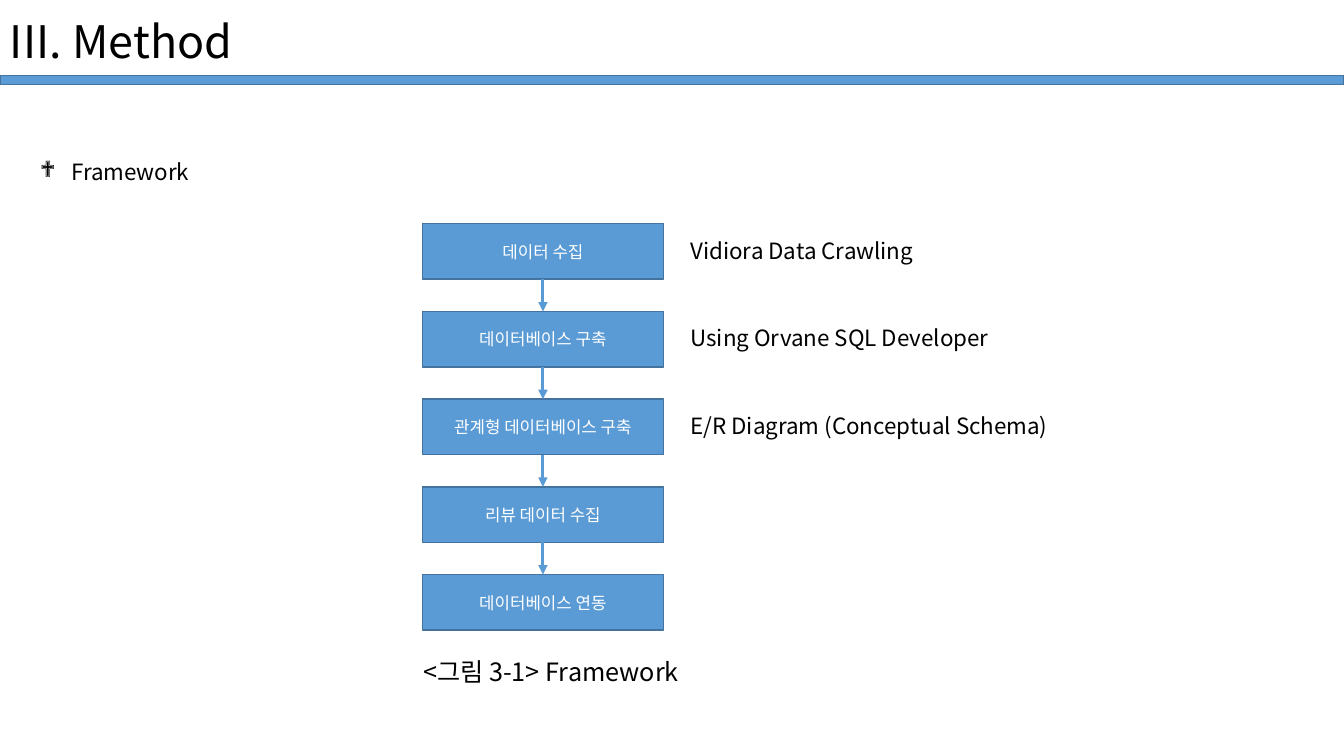
from pptx import Presentation
from pptx import util as u
from pptx.dml.color import RGBColor
from pptx.enum import shapes, text
from pptx.oxml.ns import qn
from lxml import etree

BLUE = RGBColor(0x5B, 0x9B, 0xD5)
DARK_BLUE = RGBColor(0x43, 0x73, 0x9E)
BLACK = RGBColor(0, 0, 0)
WHITE = RGBColor(255, 255, 255)
FONT = "Noto Sans CJK KR"

# Each step with the note to its right
STEPS = [
    ("데이터 수집", "Vidiora Data Crawling"),
    ("데이터베이스 구축", "Using Orvane SQL Developer"),
    ("관계형 데이터베이스 구축", "E/R Diagram (Conceptual Schema)"),
    ("리뷰 데이터 수집", None),
    ("데이터베이스 연동", None),
]


def style(paragraph, size, color):
    font = paragraph.font
    font.name = FONT
    font.size = u.Pt(size)
    font.color.rgb = color
    # Korean letters take the East Asian font
    defaults = paragraph._p.pPr.find(qn("a:defRPr"))
    etree.SubElement(defaults, qn("a:ea"), typeface=FONT)


def add_bullet(paragraph, indent, tag, **attributes):
    properties = paragraph._p.get_or_add_pPr()
    properties.set("marL", str(u.Inches(indent)))
    properties.set("indent", str(-u.Inches(indent)))
    etree.SubElement(properties, qn(tag), **attributes)


def add_text(slide, left, top, width, height, words, size):
    box = slide.shapes.add_textbox(
        u.Inches(left), u.Inches(top), u.Inches(width), u.Inches(height))
    box.text_frame.word_wrap = True
    paragraph = box.text_frame.paragraphs[0]
    paragraph.text = words
    return paragraph, size


def add_plain_text(slide, left, top, width, height, words, size):
    paragraph, size = add_text(slide, left, top, width, height, words, size)
    style(paragraph, size, BLACK)


def add_rectangle(slide, left, top, width, height):
    shape = slide.shapes.add_shape(
        shapes.MSO_SHAPE.RECTANGLE,
        u.Inches(left), u.Inches(top), u.Inches(width), u.Inches(height))
    shape.shadow.inherit = False
    shape.fill.solid()
    shape.fill.fore_color.rgb = BLUE
    shape.line.color.rgb = DARK_BLUE
    shape.line.width = u.Pt(1)
    return shape


def add_arrow(slide, x, top, bottom):
    arrow = slide.shapes.add_connector(
        shapes.MSO_CONNECTOR.STRAIGHT,
        u.Inches(x), u.Inches(top), u.Inches(x), u.Inches(bottom))
    arrow.line.color.rgb = BLUE
    arrow.line.width = u.Pt(2.25)
    etree.SubElement(arrow.line._get_or_add_ln(), qn("a:tailEnd"), type="triangle")
    etree.SubElement(arrow._element.spPr, qn("a:effectLst"))


def add_header(slide, left, top, width):
    # Numbered title above a full-width bar
    add_rectangle(slide, left, top + 0.75, width, 0.09)
    title, size = add_text(slide, left, top + 0.09, 10.73, 0.64, "Method", 32)
    add_bullet(title, 0.62, "a:buFont", typeface="+mj-lt")
    add_bullet(title, 0.62, "a:buAutoNum", type="romanUcPeriod", startAt="3")
    style(title, size, BLACK)


def add_topic(slide, left, top, width, height):
    topic, size = add_text(slide, left, top, width, height, "Framework", 16)
    topic.line_spacing = 1.5
    add_bullet(topic, 0.31, "a:buFont", typeface="Wingdings")
    add_bullet(topic, 0.31, "a:buChar", char="❖")
    style(topic, size, BLACK)


def add_flow(slide, left, top, width, step_height, pitch):
    for index, (step, note) in enumerate(STEPS):
        step_top = top + index * pitch
        shape = add_rectangle(slide, left, step_top, width, step_height)
        shape.text_frame.word_wrap = True
        shape.text_frame.vertical_anchor = text.MSO_ANCHOR.MIDDLE
        paragraph = shape.text_frame.paragraphs[0]
        paragraph.text = step
        paragraph.alignment = text.PP_ALIGN.CENTER
        style(paragraph, 12, WHITE)
        if note:
            add_plain_text(slide, left + width + 0.17, step_top + 0.08,
                           4.38, 0.37, note, 16)
        # Arrow from the step above
        if index:
            add_arrow(slide, left + width / 2,
                      step_top - pitch + step_height, step_top)


def main():
    presentation = Presentation()
    presentation.slide_width = u.Inches(13.33)
    presentation.slide_height = u.Inches(7.5)
    slide = presentation.slides.add_slide(presentation.slide_layouts[6])

    add_header(slide, 0, 0, 13.33)
    add_topic(slide, 0.3, 1.39, 10.1, 0.47)
    add_flow(slide, 4.19, 2.22, 2.39, 0.55, 0.87)
    # Figure caption
    add_plain_text(slide, 4.1, 6.46, 3.26, 0.4, "<그림 3-1> Framework", 18)

    presentation.save("out.pptx")


if __name__ == "__main__":
    main()
